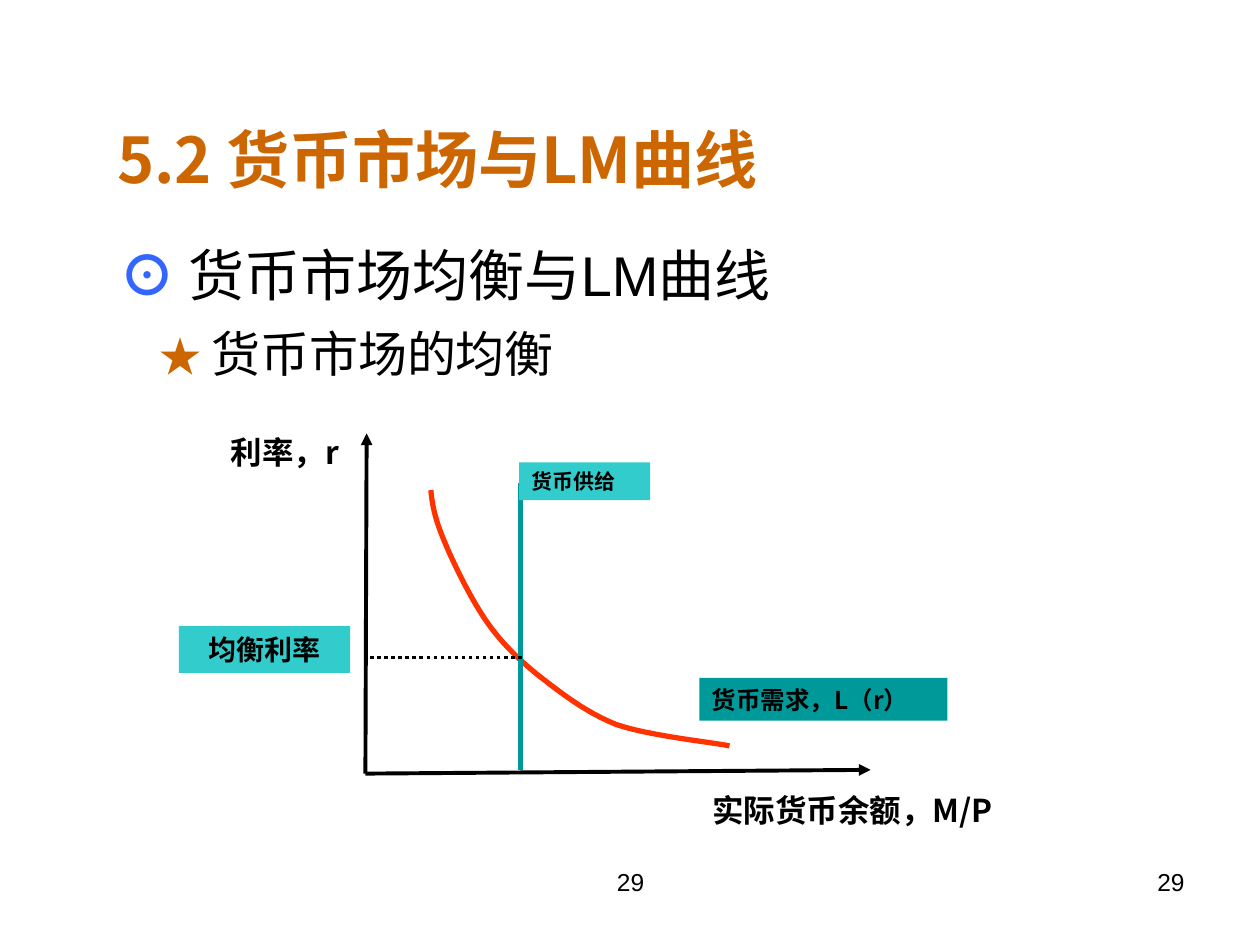
from pptx import Presentation
from pptx.dml.color import RGBColor
from pptx.enum.dml import MSO_LINE
from pptx.enum.shapes import MSO_CONNECTOR, MSO_SHAPE
from pptx.enum.text import MSO_ANCHOR, PP_ALIGN
from pptx.oxml.ns import qn
from pptx.util import Inches, Pt
from lxml.etree import SubElement

BLACK = RGBColor(0x00, 0x00, 0x00)
ORANGE = RGBColor(0xCC, 0x66, 0x00)
BLUE = RGBColor(0x33, 0x66, 0xFF)
RED = RGBColor(0xFF, 0x33, 0x00)
TEAL = RGBColor(0x00, 0x99, 0x99)
AQUA = RGBColor(0x33, 0xCC, 0xCC)
NOTO, ARIAL = "Noto Sans CJK SC", "Arial"
LEFT, MID, RIGHT = PP_ALIGN.LEFT, PP_ALIGN.CENTER, PP_ALIGN.RIGHT

deck = Presentation()
deck.slide_width, deck.slide_height = Inches(10), Inches(7.5)
# Square grid: 100 columns by 75 rows
COL, ROW = deck.slide_width / 100, deck.slide_height / 75
slide = deck.slides.add_slide(deck.slide_layouts[5])
shapes = slide.shapes


def grid(*cells):
    """Turn alternating columns and rows into lengths."""
    return [round(n * unit) for n, unit in zip(cells, (COL, ROW) * 2)]


def write(para, text, size, color=BLACK, face=NOTO, bold=True):
    run = para.add_run()
    run.text = text
    look = {"size": Pt(size), "bold": bold, "name": face}
    for key, value in look.items():
        setattr(run.font, key, value)
    run.font.color.rgb = color
    SubElement(run.font._element, qn("a:ea"), typeface=NOTO)


# Page numbers
for x, wide, align in [(34.2, 31.7, MID), (71.7, 23.3, RIGHT)]:
    box = shapes.add_textbox(*grid(x, 68.3, wide, 5.2))
    box.text_frame.word_wrap = True
    para = box.text_frame.paragraphs[0]
    para.alignment = align
    write(para, "29", 14, face=ARIAL, bold=False)

# Title
title = shapes.title
title.left, title.top, title.width, title.height = grid(8.3, 9.2, 80, 6.7)
title.text_frame.vertical_anchor = MSO_ANCHOR.MIDDLE
para = title.text_frame.paragraphs[0]
para.alignment = LEFT
write(para, "5.2 货币市场与LM曲线", 36, ORANGE)

# Outline
body = shapes.add_textbox(*grid(7.5, 19.2, 86.6, 21.7)).text_frame
body.word_wrap = True
first, second = body.paragraphs[0], body.add_paragraph()
write(first, " ⊙ ", 32, BLUE)
write(first, "货币市场均衡与LM曲线", 32, face=ARIAL, bold=False)
second.level = 1
second.space_before = Pt(12.2)
second._p.get_or_add_pPr().set("marL", str(grid(4.2)[0]))
write(second, "★ ", 24, ORANGE)
write(second, "货币市场的均衡", 28, face=ARIAL, bold=False)
for para in (first, second):
    para.line_spacing = 0.9

# Money demand curve: Bezier pieces that share their end points
knots = [(34.2, 38.9),
         (34.3, 40), (34.5, 41.1), (35.2, 42.8),
         (35.9, 44.5), (37.2, 47.2), (38.4, 49),
         (39.6, 50.8), (40.9, 52.1), (42.6, 53.5),
         (44.4, 54.9), (46.4, 56.5), (48.9, 57.5),
         (51.5, 58.4), (56.4, 58.9), (57.9, 59.2)]
STEPS = 12
dots = []
for i in range(0, len(knots) - 1, 3):
    for step in range(1, STEPS + 1):
        t = step / STEPS
        mix = ((1 - t) ** 3, 3 * t * (1 - t) ** 2, 3 * t * t * (1 - t), t ** 3)
        dots.append(grid(*(sum(m * k[axis] for m, k in zip(mix, knots[i:i + 4]))
                           for axis in (0, 1))))
pen = shapes.build_freeform(*grid(*knots[0]), scale=1.0)
pen.add_line_segments(dots, close=False)
curve = pen.convert_to_shape()
curve.shadow.inherit = False
curve.fill.background()
curve.line.color.rgb = RED
curve.line.width = Pt(3)

# Axes, money supply and equilibrium level
lines = [
    ((29, 61.4, 29.1, 34.4), BLACK, 2.25, "arrow"),
    ((29, 61.4, 69.1, 61.1), BLACK, 2.25, "arrow"),
    ((41.3, 61.1, 41.3, 38.3), TEAL, 3, "plain"),
    ((41.4, 52.2, 29.2, 52.2), BLACK, 2, "dots"),
]
for ends, color, width, kind in lines:
    rule = shapes.add_connector(MSO_CONNECTOR.STRAIGHT, *grid(*ends))
    rule.line.color.rgb = color
    rule.line.width = Pt(width)
    if kind == "dots":
        rule.line.dash_style = MSO_LINE.ROUND_DOT
    if kind == "arrow":
        SubElement(rule.line._get_or_add_ln(), qn("a:tailEnd"), type="triangle")
    SubElement(rule._element.spPr, qn("a:effectLst"))

# Labels
labels = [
    ("利率，r", (15.5, 33.9, 14.2, 4), 18, MID, None),
    ("实际货币余额，M/P", (52.8, 62.3, 29.7, 4), 18, MID, None),
    ("货币需求，L（r）", (55.5, 53.8, 19.7, 3.4), 14, LEFT, TEAL),
    ("货币供给", (41.2, 36.7, 10.4, 3), 12, LEFT, AQUA),
    ("均衡利率", (14.2, 49.7, 13.6, 3.7), 16, MID, AQUA),
]
for text, place, size, align, fill in labels:
    if fill is None:
        box = shapes.add_textbox(*grid(*place))
    else:
        box = shapes.add_shape(MSO_SHAPE.RECTANGLE, *grid(*place))
        box.shadow.inherit = False
        box.fill.solid()
        box.fill.fore_color.rgb = fill
        box.line.fill.background()
    frame = box.text_frame
    frame.word_wrap = True
    frame.vertical_anchor = MSO_ANCHOR.MIDDLE
    frame.paragraphs[0].alignment = align
    write(frame.paragraphs[0], text, size)

deck.save("out.pptx")
